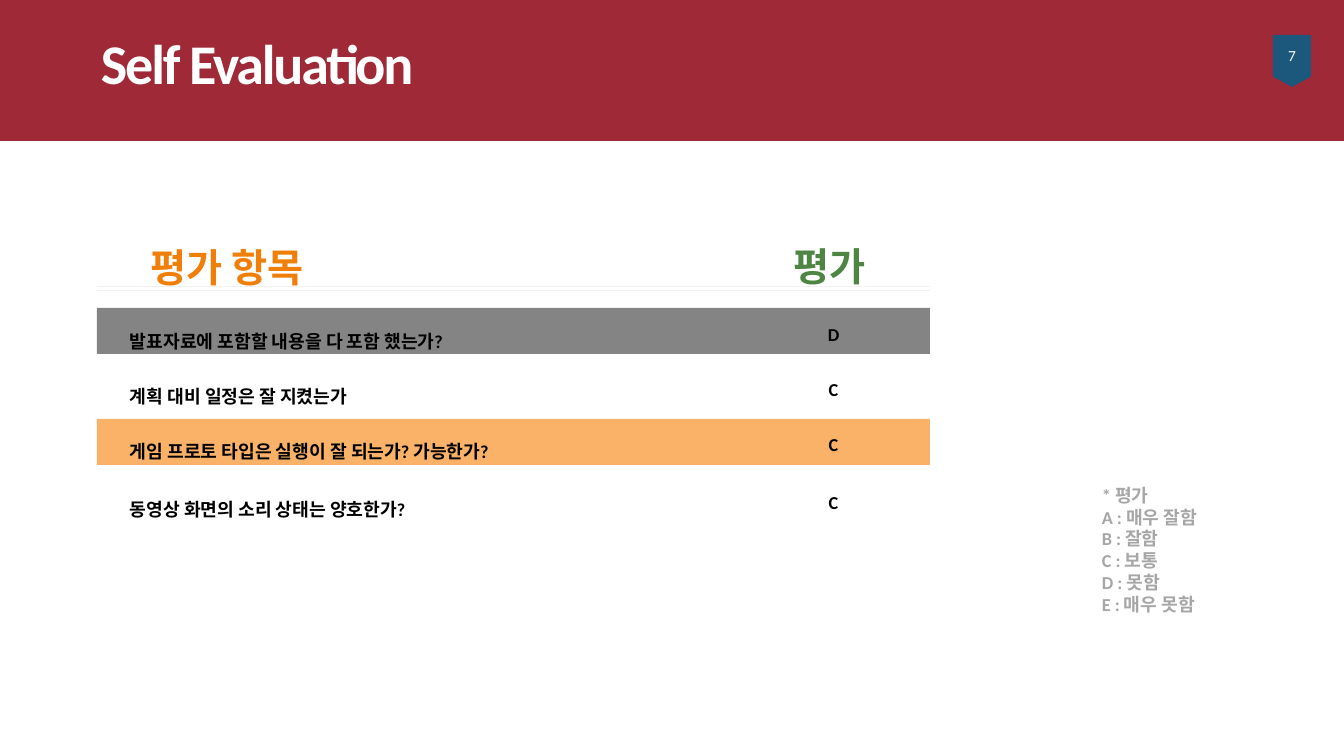
"""Build the self evaluation slide."""
from lxml import etree
from pptx import Presentation
from pptx.dml.color import RGBColor
from pptx.enum.shapes import MSO_CONNECTOR, MSO_SHAPE
from pptx.enum.text import MSO_ANCHOR, PP_ALIGN
from pptx.oxml.ns import qn
from pptx.util import Emu, Pt

PX = 914400 / 100.8
FONT = "Calibri"
RECT = MSO_SHAPE.RECTANGLE
BADGE = MSO_SHAPE.FLOWCHART_OFFPAGE_CONNECTOR
LINE = MSO_CONNECTOR.STRAIGHT
TOP, MID = MSO_ANCHOR.TOP, MSO_ANCHOR.MIDDLE
LEFT, CENTER, JUST = PP_ALIGN.LEFT, PP_ALIGN.CENTER, PP_ALIGN.JUSTIFY
HEX = {
    "red": "9F2936", "blue": "1B587C", "white": "FFFFFF", "black": "000000",
    "peach": "F9B268", "gray": "848484", "rule": "F2F2F2",
    "orange": "F07F09", "green": "4E8542", "pale": "A6A6A6",
}
ROWS = [
    ("발표자료에 포함할 내용을 다 포함 했는가?", "D"),
    ("계획 대비 일정은 잘 지켰는가", "C"),
    ("게임 프로토 타입은 실행이 잘 되는가? 가능한가?", "C"),
    ("동영상 화면의 소리 상태는 양호한가?", "C"),
]
LEGEND = ["* 평가", "A : 매우 잘함", "B : 잘함", "C : 보통", "D : 못함", "E : 매우 못함"]
GRID_X, GRID_W = 97, 833
BAR_Y, BAR_H, STEP = 308, 46, 111


def px(*vals):
    """Turn pixel lengths into EMU."""
    return [Emu(round(val * PX)) for val in vals]


def color(name):
    """Give the named colour."""
    return RGBColor.from_string(HEX[name])


def write(frame, lines, size=13, tint="black", bold=True, align=LEFT,
          anchor=TOP, space=None, gaps=(), track=None):
    """Fill a text frame with one paragraph per line."""
    frame.word_wrap = True
    frame.vertical_anchor = anchor
    for num, line in enumerate(lines):
        para = frame.add_paragraph() if num else frame.paragraphs[0]
        para.alignment = align
        if space:
            para.line_spacing = space
        if num in gaps:
            para.space_before = Pt(2.6)
        run = para.add_run()
        run.text = line
        font = run.font
        font.name, font.size, font.bold = FONT, Pt(size), bold
        font.color.rgb = color(tint)
        if track:
            run._r.get_or_add_rPr().set("spc", str(track))


def label(slide, box, lines, **form):
    """Add a text box."""
    write(slide.shapes.add_textbox(*px(*box)).text_frame, lines, **form)


def block(slide, box, fill, kind=RECT):
    """Add a filled shape without outline."""
    shape = slide.shapes.add_shape(kind, *px(*box))
    shape.shadow.inherit = False
    shape.fill.solid()
    shape.fill.fore_color.rgb = color(fill)
    shape.line.fill.background()
    return shape


def rule(slide, top):
    """Add a thin line across the grid."""
    line = slide.shapes.add_connector(LINE, *px(GRID_X, top, GRID_X + GRID_W, top))
    line.line.color.rgb = color("rule")
    line.line.width = Pt(0.5)
    etree.SubElement(line._element.spPr, qn("a:effectLst"))


def main():
    """Build and save the slide."""
    deck = Presentation()
    deck.slide_width, deck.slide_height = px(1344, 756)
    slide = deck.slides.add_slide(deck.slide_layouts[6])

    block(slide, (0, 0, 1344, 141), "red")
    badge = block(slide, (1273, 35, 38, 52), "blue", BADGE)
    write(badge.text_frame, ["7"], size=11, tint="white", bold=False,
          align=CENTER, anchor=MID)
    label(slide, (91, 22, 925, 80), ["Self Evaluation"], size=40, tint="white",
          anchor=MID, track=-150)

    for num, fill in enumerate(["gray", "peach"]):
        block(slide, (GRID_X, BAR_Y + num * STEP, GRID_W, BAR_H), fill)
    for top in (286, 290):
        rule(slide, top)

    items, marks = zip(*ROWS)
    form = {"space": 2.5, "gaps": (0, len(ROWS) - 1)}
    label(slide, (120, 293, 600, 235), items, **form)
    label(slide, (141, 238, 578, 57), ["평가 항목"], size=28, tint="orange", anchor=MID)
    label(slide, (737, 286, 193, 354), marks, align=CENTER, **form)
    label(slide, (737, 237, 185, 57), ["평가"], size=28, tint="green",
          align=CENTER, anchor=MID)
    label(slide, (1092, 479, 250, 164), LEGEND, tint="pale", align=JUST)
    deck.save("out.pptx")


if __name__ == "__main__":
    main()
